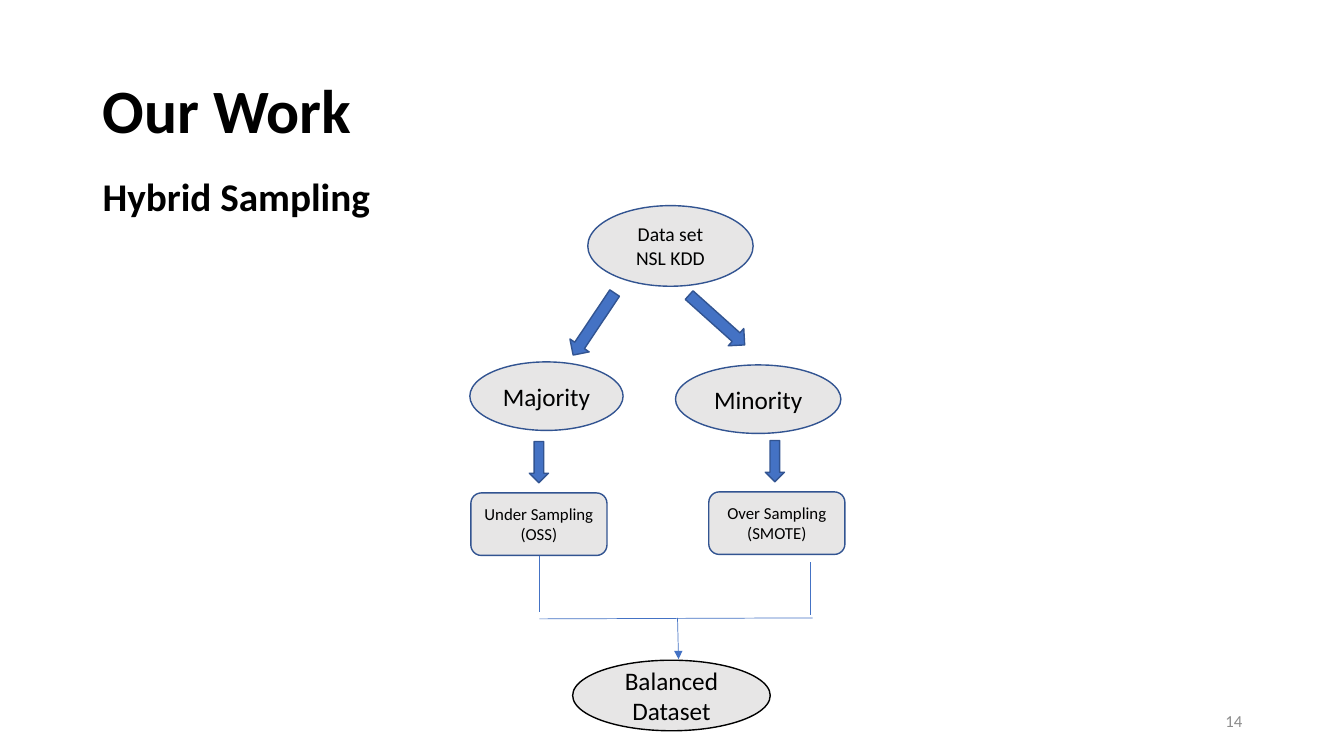
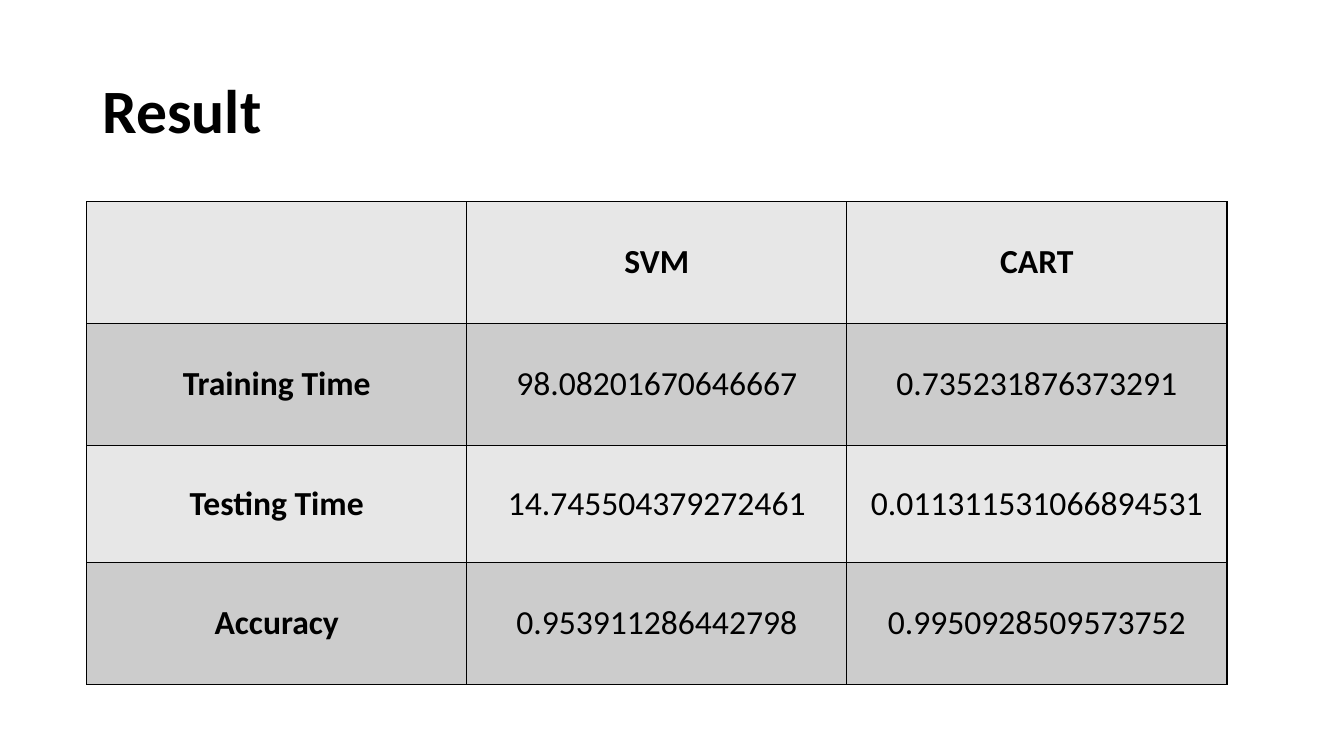
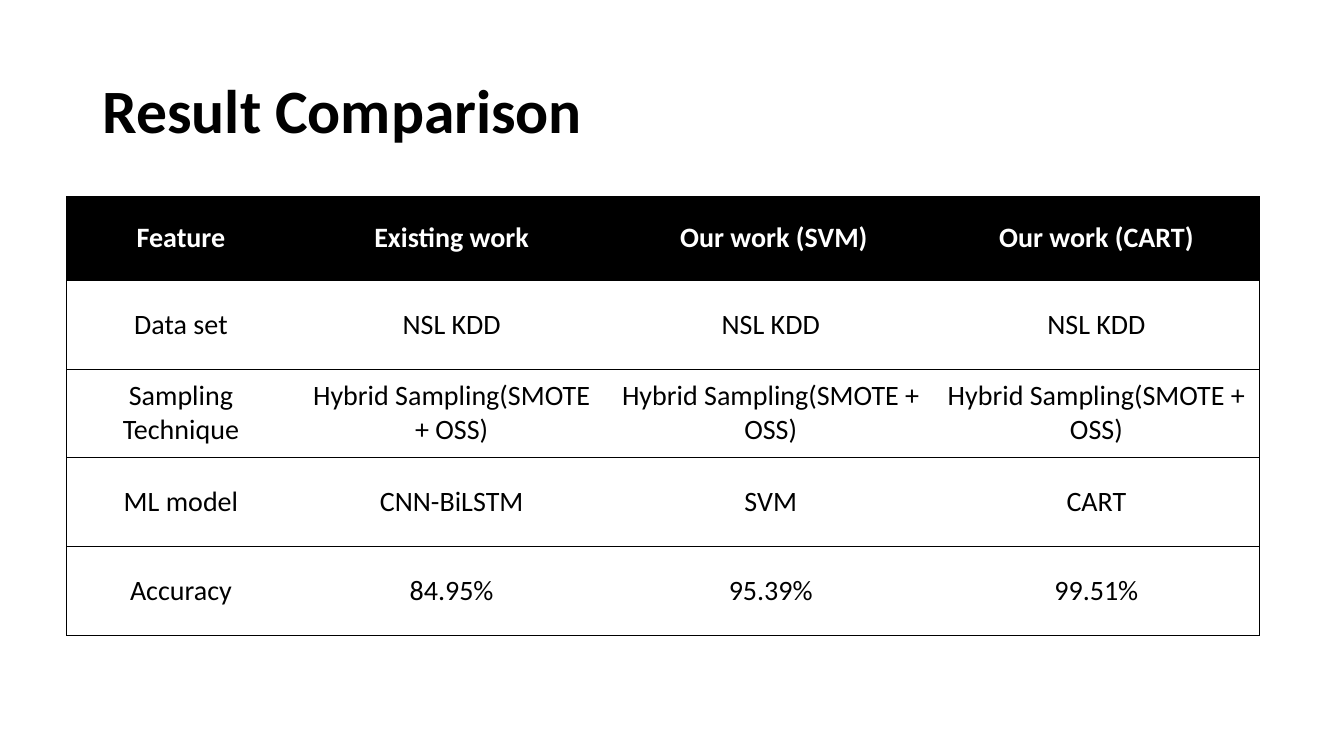
from lxml import etree
from pptx import Presentation
from pptx.dml.color import RGBColor
from pptx.enum import shapes, text
from pptx.oxml import ns
from pptx.util import Inches, Pt

FONT = "Calibri"
BLACK, WHITE, GREY = "000000", "FFFFFF", "8C8C8C"
NODE, NODE_EDGE, ARROW = "E7E6E6", "325491", "4472C4"
LIGHT, DARK = "E7E7E7", "CCCCCC"
LEFT, CENTER, RIGHT = text.PP_ALIGN.LEFT, text.PP_ALIGN.CENTER, text.PP_ALIGN.RIGHT
MIDDLE, TOP = text.MSO_ANCHOR.MIDDLE, text.MSO_ANCHOR.TOP
SHAPE = shapes.MSO_SHAPE
color = RGBColor.from_string


def write(frame, words, size, ink=BLACK, bold=False, align=CENTER, spacing=1.0):
    frame.text = words
    frame.word_wrap = True
    for paragraph in frame.paragraphs:
        paragraph.alignment = align
        paragraph.line_spacing = spacing
        for run in paragraph.runs:
            run.font.name, run.font.size, run.font.bold = FONT, Pt(size), bold
            run.font.color.rgb = color(ink)


def add_figure(slide, kind, box, fill, edge):
    figure = slide.shapes.add_shape(kind, *map(Inches, box))
    figure.shadow.inherit = False
    figure.fill.solid()
    figure.fill.fore_color.rgb = color(fill)
    figure.line.color.rgb = color(edge)
    figure.line.width = Pt(1)
    return figure


deck = Presentation()
deck.slide_width, deck.slide_height = Inches(13.33), Inches(7.5)

# Slides with their shared title
slides = []
for heading in ("Our Work", "Result", "Result Comparison"):
    slide = deck.slides.add_slide(deck.slide_layouts[6])
    title = slide.shapes.add_textbox(Inches(0.92), Inches(0.4), Inches(11.5), Inches(1.45))
    write(title.text_frame, heading, 44, bold=True, align=LEFT, spacing=0.9)
    title.text_frame.vertical_anchor = MIDDLE
    slides.append(slide)
work, result, comparison = slides

# Our Work: subtitle and page number
subtitle = work.shapes.add_textbox(Inches(0.92), Inches(1.71), Inches(11.5), Inches(5.79))
write(subtitle.text_frame, "Hybrid Sampling", 28, bold=True, align=LEFT, spacing=0.9)
subtitle.text_frame.vertical_anchor = TOP
page_number = work.shapes.add_textbox(Inches(9.42), Inches(6.95), Inches(3), Inches(0.4))
write(page_number.text_frame, "14", 12, GREY, align=RIGHT)
page_number.text_frame.vertical_anchor = MIDDLE

# Our Work: steps of the flow
for kind, box, words, size, edge in (
    (SHAPE.OVAL, (5.83, 2.04, 1.64, 0.8), "Data set\vNSL KDD", 14, NODE_EDGE),
    (SHAPE.OVAL, (4.66, 3.59, 1.52, 0.68), "Majority", 18, NODE_EDGE),
    (SHAPE.OVAL, (6.7, 3.62, 1.64, 0.68), "Minority", 18, NODE_EDGE),
    (SHAPE.ROUNDED_RECTANGLE, (4.67, 4.89, 1.35, 0.62), "Under Sampling\v(OSS)", 12, NODE_EDGE),
    (SHAPE.ROUNDED_RECTANGLE, (7.03, 4.88, 1.35, 0.62), "Over Sampling\n(SMOTE)", 12, NODE_EDGE),
    (SHAPE.OVAL, (5.68, 6.55, 1.96, 0.7), "Balanced Dataset", 18, BLACK),
):
    step = add_figure(work, kind, box, NODE, edge)
    write(step.text_frame, words, size)
    step.text_frame.vertical_anchor = MIDDLE

# Our Work: block arrows
for kind, box, angle in (
    (SHAPE.RIGHT_ARROW, (5.52, 3.1, 0.74, 0.23), 123.8),
    (SHAPE.RIGHT_ARROW, (6.74, 3.06, 0.74, 0.23), 41.9),
    (SHAPE.DOWN_ARROW, (5.25, 4.38, 0.19, 0.41), 0),
    (SHAPE.DOWN_ARROW, (7.59, 4.37, 0.19, 0.41), 0),
):
    add_figure(work, kind, box, ARROW, NODE_EDGE).rotation = angle

# Our Work: lines merging both samples, the last one with an arrowhead
for ends in (
    (5.35, 5.52, 5.35, 6.07),
    (5.35, 6.14, 8.06, 6.13),
    (8.04, 5.58, 8.04, 6.1),
    (6.72, 6.13, 6.73, 6.54),
):
    link = work.shapes.add_connector(shapes.MSO_CONNECTOR.STRAIGHT, *map(Inches, ends))
    link.line.color.rgb = color(ARROW)
    link.line.width = Pt(0.5)
    etree.SubElement(link._element.spPr, ns.qn("a:effectLst"))
etree.SubElement(link.line._get_or_add_ln(), ns.qn("a:tailEnd"), type="triangle")

# Result and Result Comparison: tables
result_rows = (
    ("", "SVM", "CART"),
    ("Training Time", "98.08201670646667", "0.735231876373291"),
    ("Testing Time", "14.745504379272461", "0.011311531066894531"),
    ("Accuracy", "0.953911286442798", "0.9950928509573752"),
)
comparison_rows = (
    ("Feature", "Existing work", " Our work (SVM)", "Our work (CART)"),
    ("Data set", "NSL KDD", "NSL KDD", "NSL KDD"),
    ("Sampling Technique", "Hybrid Sampling(SMOTE + OSS)", "Hybrid Sampling(SMOTE + OSS)",
     "Hybrid Sampling(SMOTE + OSS)"),
    ("ML model", "CNN-BiLSTM", "SVM", "CART"),
    ("Accuracy", "84.95%", "95.39%", "99.51%"),
)
for slide, rows, (left, top), widths, heights, fills, size, rule, is_grid in (
    (result, result_rows, (0.86, 2), [3.77] * 3, [1.21, 1.21, 1.16, 1.21],
     [LIGHT, DARK] * 2, 24, 1, True),
    (comparison, comparison_rows, (0.66, 1.95), [2.27, 3.1, 3.23, 3.23], [0.83] + [0.88] * 4,
     [BLACK] + [WHITE] * 4, 20, 0.5, False),
):
    table = slide.shapes.add_table(
        len(rows), len(widths), Inches(left), Inches(top),
        Inches(sum(widths)), Inches(sum(heights))).table
    for column, width in zip(table.columns, widths):
        column.width = Inches(width)
    for r, row in enumerate(rows):
        table.rows[r].height = Inches(heights[r])
        for c, words in enumerate(row):
            cell = table.cell(r, c)
            is_label = r == 0 or (is_grid and c == 0)
            ink = WHITE if fills[r] == BLACK else BLACK
            write(cell.text_frame, words, size, ink, is_label)
            cell.vertical_anchor = MIDDLE
            # Borders come before the fill in the cell properties
            ruled = {"L": is_grid or c == 0, "R": is_grid or c == len(row) - 1,
                     "T": True, "B": True}
            for side, shown in ruled.items():
                border = etree.SubElement(cell._tc.get_or_add_tcPr(), ns.qn("a:ln" + side),
                                          w=str(Pt(rule)))
                paint = etree.SubElement(border, ns.qn("a:solidFill" if shown else "a:noFill"))
                if shown:
                    etree.SubElement(paint, ns.qn("a:srgbClr"), val=BLACK)
            cell.fill.solid()
            cell.fill.fore_color.rgb = color(fills[r])

deck.save("out.pptx")
